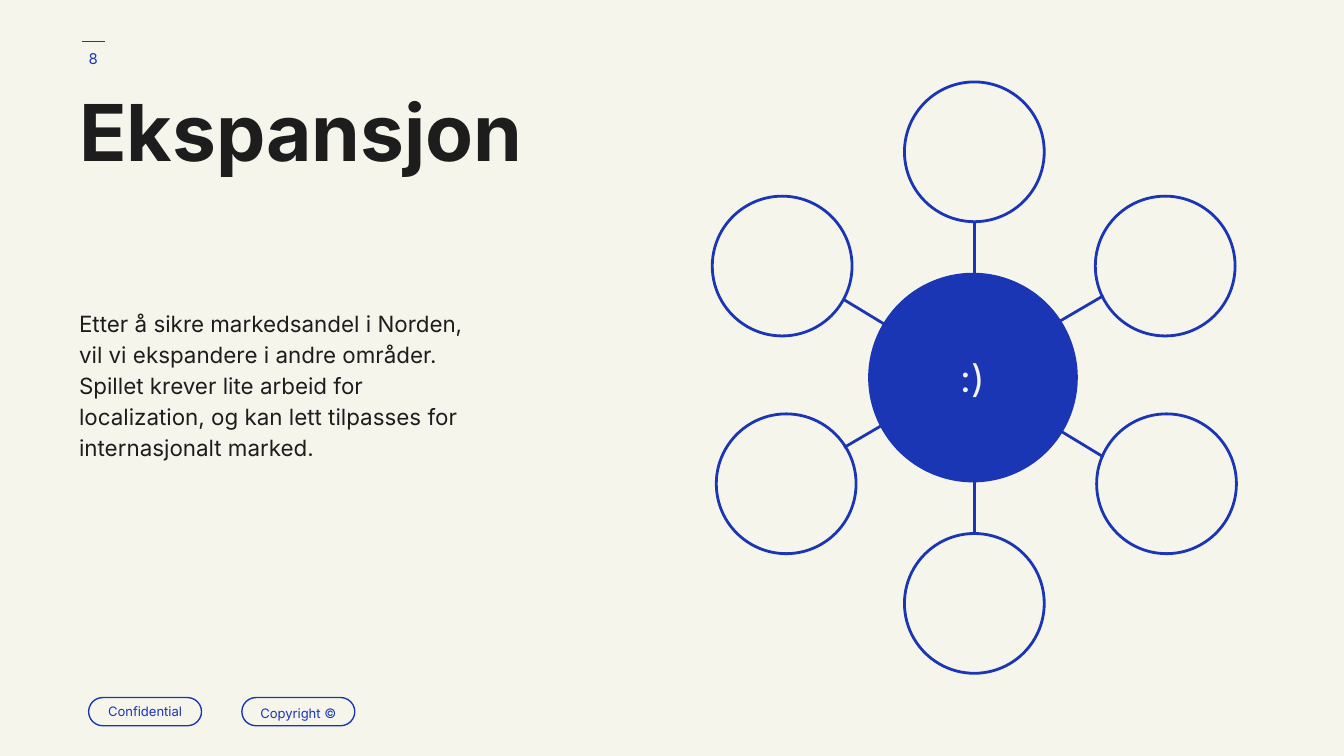
from lxml import etree
from pptx import Presentation
from pptx.dml.color import RGBColor as Rgb
from pptx.enum.shapes import MSO_CONNECTOR as Link, MSO_SHAPE as Shape
from pptx.enum.text import MSO_ANCHOR as Anchor, MSO_AUTO_SIZE as Fit, PP_ALIGN as Align
from pptx.oxml.ns import qn
from pptx.util import Inches, Pt

COLORS = {"paper": "F6F5EC", "blue": "1A36B4", "ink": "1D1D1D"}
FONT = "Inter"


def color(name):
    return Rgb.from_string(COLORS[name])


def write(shape, text, size=12, tint="ink", bold=False, align=Align.LEFT,
          anchor=Anchor.TOP, space=1.0):
    frame = shape.text_frame
    frame.word_wrap = True
    frame.auto_size = Fit.NONE
    frame.vertical_anchor = anchor
    frame.margin_left = frame.margin_right = Inches(0.1)
    frame.margin_top = frame.margin_bottom = Inches(0.1)
    par = frame.paragraphs[0]
    par.alignment = align
    par.line_spacing = space
    run = par.add_run()
    run.text = text
    font = run.font
    font.name, font.size, font.bold = FONT, Pt(size), bold
    font.color.rgb = color(tint)


class Deck:
    def __init__(self, wide, high):
        self.prs = Presentation()
        self.prs.slide_width, self.prs.slide_height = Inches(wide), Inches(high)
        self.slide = self.prs.slides.add_slide(self.prs.slide_layouts[5])
        fill = self.slide.background.fill
        fill.solid()
        fill.fore_color.rgb = color("paper")

    def title(self, text, left, top, wide, high, **style):
        head = self.slide.shapes.title
        head.left, head.top = Inches(left), Inches(top)
        head.width, head.height = Inches(wide), Inches(high)
        write(head, text, **style)

    def text(self, text, left, top, wide, high, **style):
        box = self.slide.shapes.add_textbox(
            Inches(left), Inches(top), Inches(wide), Inches(high))
        write(box, text, **style)

    def pill(self, left, top, wide, high, fill=None, line=None):
        """Add a fully rounded box, which is a circle when it is square."""
        pill = self.slide.shapes.add_shape(
            Shape.ROUNDED_RECTANGLE,
            Inches(left), Inches(top), Inches(wide), Inches(high))
        pill.adjustments[0] = 0.5
        pill.shadow.inherit = False
        if fill:
            pill.fill.solid()
            pill.fill.fore_color.rgb = color(fill)
        else:
            pill.fill.background()
        if line:
            pill.line.color.rgb = color("blue")
            pill.line.width = Pt(line)
        else:
            pill.line.fill.background()
        return pill

    def line(self, start, end, width):
        line = self.slide.shapes.add_connector(
            Link.STRAIGHT, *map(Inches, start), *map(Inches, end))
        line.line.color.rgb = color("blue")
        line.line.width = Pt(width)
        etree.SubElement(line._element.spPr, qn("a:effectLst"))
        return line


def main():
    deck = Deck(10, 10 * 9 / 16)
    center = {"align": Align.CENTER, "anchor": Anchor.MIDDLE}

    deck.line((0.78, 0.31), (0.61, 0.31), 0.75)

    for left, label, space in ((0.66, "Confidential", 1.0), (1.8, "Copyright ©", 1.15)):
        tag = deck.pill(left, 5.19, 0.84, 0.21, line=0.75)
        write(tag, label, size=7, tint="blue", space=space, **center)

    deck.title("Ekspansjon", 0.49, 0.65, 4.32, 1.44, size=42, bold=True, space=0.8)
    deck.text("Etter å sikre markedsandel i Norden, vil vi ekspandere i andre områder. "
              "Spillet krever lite arbeid for localization, og kan lett tilpasses for "
              "internasjonalt marked.", 0.49, 2.18, 3.24, 1.88, space=1.15)

    # The hub covers the middle of the spokes.
    deck.line((6.28, 3.33), (8.21, 2.2), 1.5)
    deck.line((8.21, 3.4), (6.28, 2.23), 1.5)
    stem = deck.line((7.25, 3.97), (7.25, 1.65), 1.5)
    hub = deck.pill(6.46, 2.03, 1.56, 1.56, fill="blue")
    write(hub, ":)", size=20, tint="paper", **center)

    for left, top in ((8.15, 1.46), (5.3, 1.46), (5.33, 3.08), (8.16, 3.08)):
        deck.pill(left, top, 1.04, 1.04, line=1.5)
    upper, lower = (deck.pill(6.73, top, 1.04, 1.04, line=1.5) for top in (0.61, 3.97))
    stem.begin_connect(lower, 0)
    stem.end_connect(upper, 2)

    deck.text("8", 0.46, 0.22, 0.47, 0.43, size=8, tint="blue", **center)

    deck.prs.save("out.pptx")


if __name__ == "__main__":
    main()
